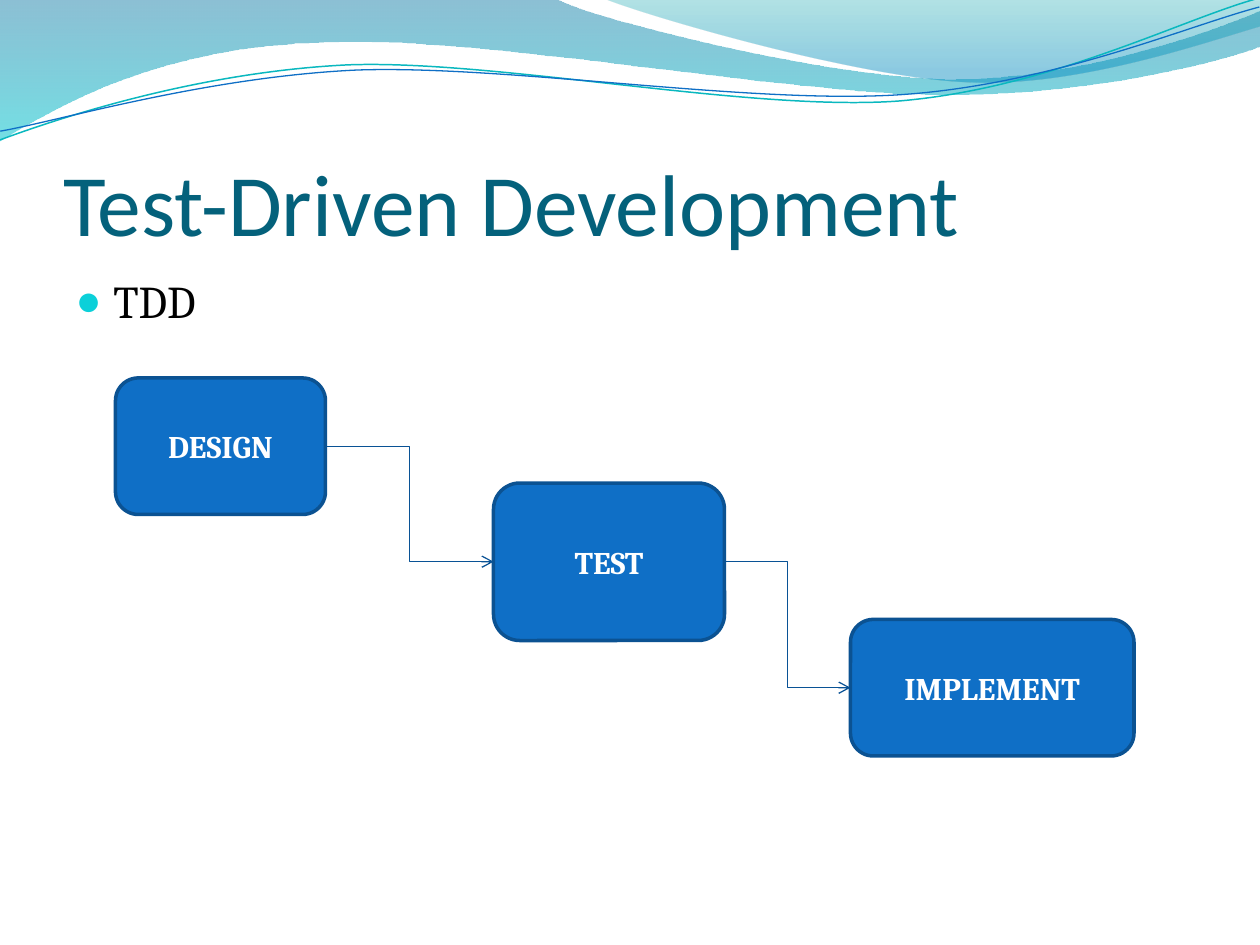
"""Build the Test-Driven Development slide."""
from itertools import islice, pairwise

from lxml import etree
from pptx import Presentation
from pptx.dml.color import RGBColor
from pptx.enum import shapes, text
from pptx.oxml import ns
from pptx.util import Pt

TITLE_TEAL = RGBColor(0x04, 0x61, 0x7B)
BULLET_CYAN = RGBColor(0x0B, 0xD0, 0xD9)
BOX_BLUE = RGBColor(0x0F, 0x6F, 0xC6)
BOX_EDGE = RGBColor(0x0B, 0x52, 0x92)
ARROW_BLUE = RGBColor(0x09, 0x52, 0x95)
LINE_TEAL = RGBColor(0x0A, 0xB8, 0xBF)
WAVE_BLUE = RGBColor(0x00, 0x74, 0xA1)
WAVE_CYAN = RGBColor(0x00, 0xC6, 0xCF)
CREST_TEAL = RGBColor(0x00, 0xA1, 0xA9)
CREST_BLUE = RGBColor(0x00, 0x8B, 0xBF)
WHITE = RGBColor(0xFF, 0xFF, 0xFF)
BLACK = RGBColor(0, 0, 0)

WAVE = [(0, 0), (317, -1), (343, 12, 478, 45, 546, 45),
        (614, 45, 690, 19, 720, 6), (721, 26), (708, 32, 626, 55, 537, 54),
        (448, 54, 275, 20, 185, 24), (93, 26, 33, 60, -1, 81), (0, 0)]
CREST = [(345, -1), (366, 8, 491, 45, 554, 47),
         (616, 50, 692, 23, 720, 15), (720, 0), (345, -1)]
TEAL_CURVE = [(-1.4, 63), (34, 51.7, 114, 29.5, 199.5, 29.5),
              (284.5, 30.5, 426, 67, 512, 65), (599, 62, 676, 26, 720.6, 16)]
BLUE_CURVE = [(-1, 58), (33, 53.7, 118, 32.6, 204, 32.7),
              (290, 33.7, 429, 63.3, 515, 61.4), (601.5, 59.4, 679, 30, 721, 21)]
CURVE_TILT = -2.7

STEPS = [("DESIGN", 66, 216, 120, 78),
         ("TEST", 282, 276, 132, 90),
         ("IMPLEMENT", 486, 354, 162, 78)]


def add_xml(parent, tag, **attributes):
    """Append a DrawingML element to parent and return it."""
    return etree.SubElement(parent, ns.qn(tag), attributes)


def bend(shape, segments):
    """Turn each run of three control points into one cubic curve."""
    lines = iter(list(shape.element.iter(ns.qn("a:lnTo"))))
    for segment in segments:
        controls = list(islice(lines, len(segment) // 2))
        if len(controls) == 3:
            curve = etree.Element(ns.qn("a:cubicBezTo"))
            controls[0].addprevious(curve)
            for control in controls:
                curve.append(control[0])
                control.getparent().remove(control)


def add_outline(page, outline, close):
    """Add a freeform of lines and curves behind the title and return it."""
    start, *segments = outline
    builder = page.shapes.build_freeform(*map(Pt, start))
    for segment in segments:
        lengths = [Pt(value) for value in segment]
        builder.add_line_segments(list(zip(lengths[::2], lengths[1::2])), close=False)
    if close:
        builder.add_line_segments([], close=True)
    shape = builder.convert_to_shape()
    bend(shape, segments)
    shape.shadow.inherit = False
    page.shapes.title.element.addprevious(shape.element)
    return shape


def add_wave(page, outline, stops):
    """Add a translucent wave with a top-to-bottom gradient."""
    wave = add_outline(page, outline, True)
    wave.line.fill.background()
    wave.fill.gradient()
    wave.fill.gradient_angle = 270
    for stop, (position, color, _) in zip(wave.fill.gradient_stops, stops):
        stop.position = position
        stop.color.rgb = color
    colors = wave.element.spPr.iter(ns.qn("a:srgbClr"))
    for color, (_, _, opacity) in zip(colors, stops):
        add_xml(color, "a:alpha", val=str(opacity * 1000))


def add_curve(page, outline, color, width):
    """Add a thin, slightly tilted open curve."""
    curve = add_outline(page, outline, False)
    curve.rotation = CURVE_TILT
    curve.fill.background()
    curve.line.color.rgb = color
    curve.line.width = Pt(width)


def format_font(para, name, size, color, bold=False):
    """Format every run of a paragraph."""
    for span in para.runs:
        span.font.name = name
        span.font.size = Pt(size)
        span.font.color.rgb = color
        span.font.bold = bold


def place(box, left, top, width, height):
    """Set the position and size of a placeholder."""
    box.left, box.top = Pt(left), Pt(top)
    box.width, box.height = Pt(width), Pt(height)


def fill_title(box, words):
    """Write the slide title."""
    place(box, 36, 55.2, 648, 90)
    frame = box.text_frame
    frame.text = words
    frame.auto_size = text.MSO_AUTO_SIZE.NONE
    frame.vertical_anchor = text.MSO_ANCHOR.BOTTOM
    frame.margin_left = frame.margin_right = frame.margin_bottom = Pt(0)
    frame.paragraphs[0].alignment = text.PP_ALIGN.LEFT
    format_font(frame.paragraphs[0], "Calibri", 50, TITLE_TEAL)


def fill_body(box, words):
    """Write the bulleted body text."""
    place(box, 36, 152.4, 648, 345.6)
    frame = box.text_frame
    frame.text = words
    frame.auto_size = text.MSO_AUTO_SIZE.NONE
    for para in frame.paragraphs:
        format_font(para, "Cambria", 26, BLACK)
        props = para._p.get_or_add_pPr()
        props.set("marL", str(Pt(21.6)))
        props.set("indent", str(Pt(-21.6)))
        add_xml(add_xml(props, "a:buClr"), "a:srgbClr", val=str(BULLET_CYAN))
        add_xml(props, "a:buSzPct", val="95000")
        add_xml(props, "a:buChar", char="●")


def add_step(page, words, left, top, width, height):
    """Add a rounded process box and return it."""
    box = page.shapes.add_shape(shapes.MSO_SHAPE.ROUNDED_RECTANGLE,
                                Pt(left), Pt(top), Pt(width), Pt(height))
    box.shadow.inherit = False
    box.fill.solid()
    box.fill.fore_color.rgb = BOX_BLUE
    box.line.color.rgb = BOX_EDGE
    box.line.width = Pt(2)
    box.text_frame.text = words
    box.text_frame.vertical_anchor = text.MSO_ANCHOR.MIDDLE
    para = box.text_frame.paragraphs[0]
    para.alignment = text.PP_ALIGN.CENTER
    format_font(para, "Cambria", 18, WHITE, True)
    return box


def add_arrow(page, source, target):
    """Join the right side of source to the left side of target."""
    arrow = page.shapes.add_connector(shapes.MSO_CONNECTOR.ELBOW, 0, 0, 0, 0)
    arrow.begin_connect(source, 3)
    arrow.end_connect(target, 1)
    arrow.line.color.rgb = ARROW_BLUE
    arrow.line.width = Pt(0.75)
    add_xml(arrow.line._get_or_add_ln(), "a:tailEnd", type="arrow")
    add_xml(arrow.element.spPr, "a:effectLst")


def main():
    """Build and save the deck."""
    deck = Presentation()
    deck.slide_width, deck.slide_height = Pt(720), Pt(540)
    page = deck.slides.add_slide(deck.slide_layouts[1])
    add_wave(page, WAVE, [(0, WAVE_BLUE, 45), (1, WAVE_CYAN, 55)])
    add_wave(page, CREST, [(0, CREST_TEAL, 30), (0.8, CREST_BLUE, 45)])
    add_curve(page, TEAL_CURVE, LINE_TEAL, 0.85)
    add_curve(page, BLUE_CURVE, BOX_BLUE, 0.75)
    fill_title(page.shapes.title, "Test-Driven Development")
    fill_body(page.placeholders[1], "TDD")
    boxes = [add_step(page, *step) for step in STEPS]
    for source, target in pairwise(boxes):
        add_arrow(page, source, target)
    deck.save("out.pptx")


if __name__ == "__main__":
    main()
